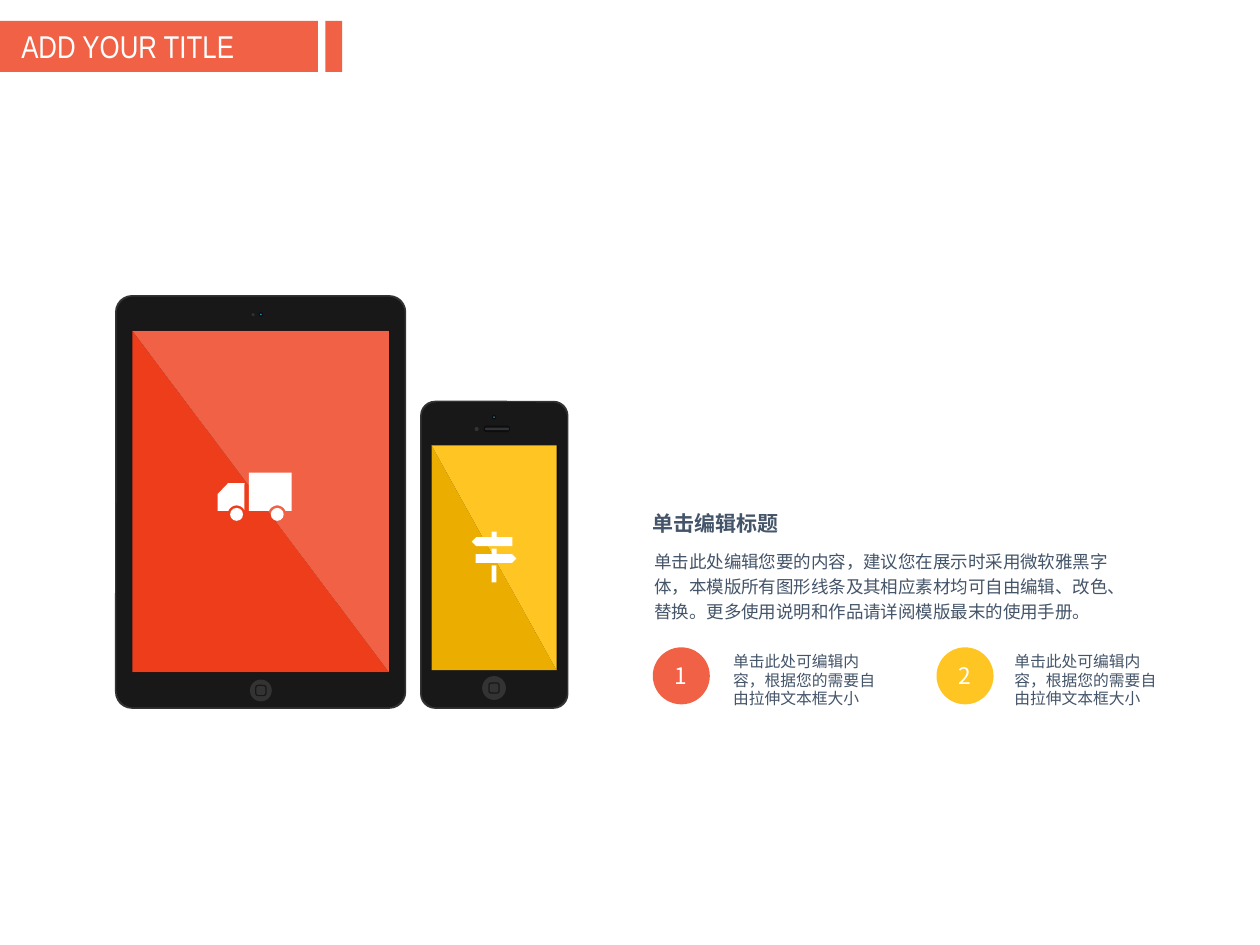
"""Build a slide with a tablet, a phone and a captioned two-point text."""
from dataclasses import dataclass
from math import cos, radians, sin

from lxml import etree
from pptx import Presentation
from pptx.dml.color import RGBColor
from pptx.enum.shapes import MSO_SHAPE
from pptx.enum.text import MSO_ANCHOR, PP_ALIGN
from pptx.oxml.ns import qn
from pptx.util import Cm, Pt

RECT = MSO_SHAPE.RECTANGLE
ROUND = MSO_SHAPE.ROUNDED_RECTANGLE
OVAL = MSO_SHAPE.OVAL
TRIANGLE = MSO_SHAPE.RIGHT_TRIANGLE
LEFT, CENTER = PP_ALIGN.LEFT, PP_ALIGN.CENTER
TOP, MIDDLE = MSO_ANCHOR.TOP, MSO_ANCHOR.MIDDLE


@dataclass(frozen=True)
class Theme:
    red: str = "F16146"
    deep_red: str = "EE3D1A"
    yellow: str = "FFC522"
    deep_yellow: str = "EAAD00"
    white: str = "FFFFFF"
    ink: str = "445469"
    rim: str = "333333"
    body: str = "181818"
    bezel: str = "0C0D11"
    lens: str = "2C99B4"
    title_font: str = "Arial Narrow"
    head_font: str = "Arial"
    cjk_font: str = "Noto Sans CJK SC"
    title: float = 18
    badge: float = 13
    head: float = 12
    text: float = 10
    note: float = 9


def write(tf, text, *, size, color, font, ea, bold=False, align=LEFT,
          anchor=TOP, before=0, spacing=1.0, margins=(0, 0)):
    tf.word_wrap = True
    tf.vertical_anchor = anchor
    tf.margin_left = tf.margin_right = Cm(margins[0])
    tf.margin_top = tf.margin_bottom = Cm(margins[1])
    p = tf.paragraphs[0]
    p.alignment, p.line_spacing, p.space_before = align, spacing, Pt(before)
    p._p.get_or_add_pPr().set("hangingPunct", "0")
    r = p.add_run()
    r.text = text
    r.font.name, r.font.size, r.font.bold = font, Pt(size), bold
    r.font.color.rgb = RGBColor.from_string(color)
    latin = r.font._element.find(qn("a:latin"))
    east = etree.Element(qn("a:ea"), typeface=ea)
    latin.addnext(east)


def arc(cx, cy, r, start, end, steps=16):
    angles = [radians(start + (end - start) * i / steps) for i in range(steps + 1)]
    return [(cx + r * cos(a), cy + r * sin(a)) for a in angles]


class Deck:
    def __init__(self, theme):
        self.t = theme
        self.prs = Presentation()
        self.prs.slide_width, self.prs.slide_height = Cm(25.4), Cm(19.05)
        self.s = self.prs.slides.add_slide(self.prs.slide_layouts[6])

    def paint(self, sp, fill):
        sp.shadow.inherit = False
        sp.fill.solid()
        sp.fill.fore_color.rgb = RGBColor.from_string(fill)
        sp.line.fill.background()
        return sp

    def shape(self, kind, x, y, w, h, fill):
        sp = self.s.shapes.add_shape(kind, Cm(x), Cm(y), Cm(w), Cm(h))
        return self.paint(sp, fill)

    def rounded(self, x, y, w, h, radius, fill):
        sp = self.shape(ROUND, x, y, w, h, fill)
        sp.adjustments[0] = radius / min(w, h)
        return sp

    def dot(self, cx, cy, d, fill):
        return self.shape(OVAL, cx - d / 2, cy - d / 2, d, d, fill)

    def outline(self, points, fill):
        pts = [(Cm(x), Cm(y)) for x, y in points]
        fb = self.s.shapes.build_freeform(*pts[0])
        fb.add_line_segments(pts[1:], close=True)
        return self.paint(fb.convert_to_shape(), fill)

    def text(self, x, y, w, h, text, **fmt):
        sp = self.s.shapes.add_textbox(Cm(x), Cm(y), Cm(w), Cm(h))
        write(sp.text_frame, text, ea=self.t.cjk_font, **fmt)

    def device(self, body, radius, bezel, screen, home, camera, dark, light):
        t = self.t
        x, y, w, h = body
        rim = 0.03
        self.rounded(x, y, w, h, radius, t.rim)
        self.rounded(x + rim, y + rim, w - 2 * rim, h - 2 * rim, radius, t.body)
        self.shape(RECT, *bezel, t.bezel)
        self.shape(TRIANGLE, *screen, dark)
        self.shape(TRIANGLE, *screen, light).rotation = 180
        cx, cy, d = home
        self.dot(cx, cy, d, t.rim)
        for side, fill in ((0.23, t.body), (0.18, t.rim)):
            self.rounded(cx - side / 2, cy - side / 2, side, side, side / 4, fill)
        self.dot(*camera, 0.09, t.bezel)
        self.dot(*camera, 0.03, t.lens)

    def truck(self):
        wheel_y, base, gap = 10.37, 10.3, 0.18
        front, rear = 4.77, 5.59
        cargo = [(5.88, base), (5.88, 9.53), (5.02, 9.53), (5.02, base)]
        cab = [(4.93, 9.74), (4.6, 9.74), (4.39, 9.96), (4.39, base)]
        self.outline(cargo + arc(rear, wheel_y, gap, 203, 337), self.t.white)
        self.outline(cab + arc(front, wheel_y, gap, 203, 330), self.t.white)
        for x in (front, rear):
            self.dot(x, wheel_y, 0.26, self.t.white)

    def signpost(self):
        axis = 9.96
        board = [(-0.05, 0), (0.05, 0), (0.05, 0.11), (0.37, 0.11), (0.37, 0.29),
                 (-0.36, 0.29), (-0.45, 0.2), (-0.36, 0.11), (-0.05, 0.11)]
        for side, top in ((1, 10.72), (-1, 11.06)):
            self.outline([(axis + side * x, top + y) for x, y in board], self.t.white)
        self.shape(RECT, axis - 0.05, 11.4, 0.1, 0.34, self.t.white)

    def point(self, x, number, fill, note_x, note):
        t = self.t
        sp = self.shape(OVAL, x, 13.05, 1.15, 1.15, fill)
        write(sp.text_frame, number, size=t.badge, color=t.white, font=t.cjk_font,
              ea=t.cjk_font, align=CENTER, anchor=MIDDLE, margins=(0.2, 0.1))
        self.text(note_x, 13.13, 2.92, 1.14, note, size=t.note, color=t.ink,
                  font=t.head_font, before=2.2)


def main():
    t = Theme()
    deck = Deck(t)
    deck.shape(RECT, 0, 0.42, 6.41, 1.03, t.red)
    deck.shape(RECT, 6.56, 0.42, 0.34, 1.03, t.red)
    deck.text(0.18, 0.41, 6.05, 1.02, "ADD YOUR TITLE", size=t.title, color=t.white,
              font=t.title_font, margins=(0.25, 0.13))

    deck.device((8.47, 8.08, 2.99, 6.21), 0.3, (8.69, 8.99, 2.57, 4.5),
                (8.7, 8.98, 2.52, 4.53), (9.96, 13.87, 0.48), (9.96, 8.41),
                t.deep_yellow, t.yellow)
    deck.rounded(9.75, 8.58, 0.53, 0.13, 0.06, t.bezel)
    deck.rounded(9.78, 8.62, 0.48, 0.05, 0.02, t.rim)
    deck.dot(9.61, 8.65, 0.08, t.rim)
    deck.signpost()

    deck.device((2.32, 5.95, 5.87, 8.34), 0.34, (2.67, 6.65, 5.18, 6.91),
                (2.67, 6.67, 5.17, 6.88), (5.26, 13.92, 0.44), (5.26, 6.34),
                t.deep_red, t.red)
    deck.shape(RECT, 5.08, 6.32, 0.05, 0.05, t.rim)
    deck.truck()

    deck.text(13.16, 10.3, 5.74, 0.51, "单击编辑标题", size=t.head, color=t.ink,
              font=t.head_font, bold=True, before=3)
    deck.text(13.19, 11.02, 9.8, 1.52,
              "单击此处编辑您要的内容，建议您在展示时采用微软雅黑字体，"
              "本模版所有图形线条及其相应素材均可自由编辑、改色、替换。"
              "更多使用说明和作品请详阅模版最末的使用手册。",
              size=t.text, color=t.ink, font=t.cjk_font, before=2.5, spacing=1.2)
    note = "单击此处可编辑内容，根据您的需要自由拉伸文本框大小"
    deck.point(13.16, "1", t.red, 14.78, note)
    deck.point(18.88, "2", t.yellow, 20.45, note)
    deck.prs.save("out.pptx")


if __name__ == "__main__":
    main()
